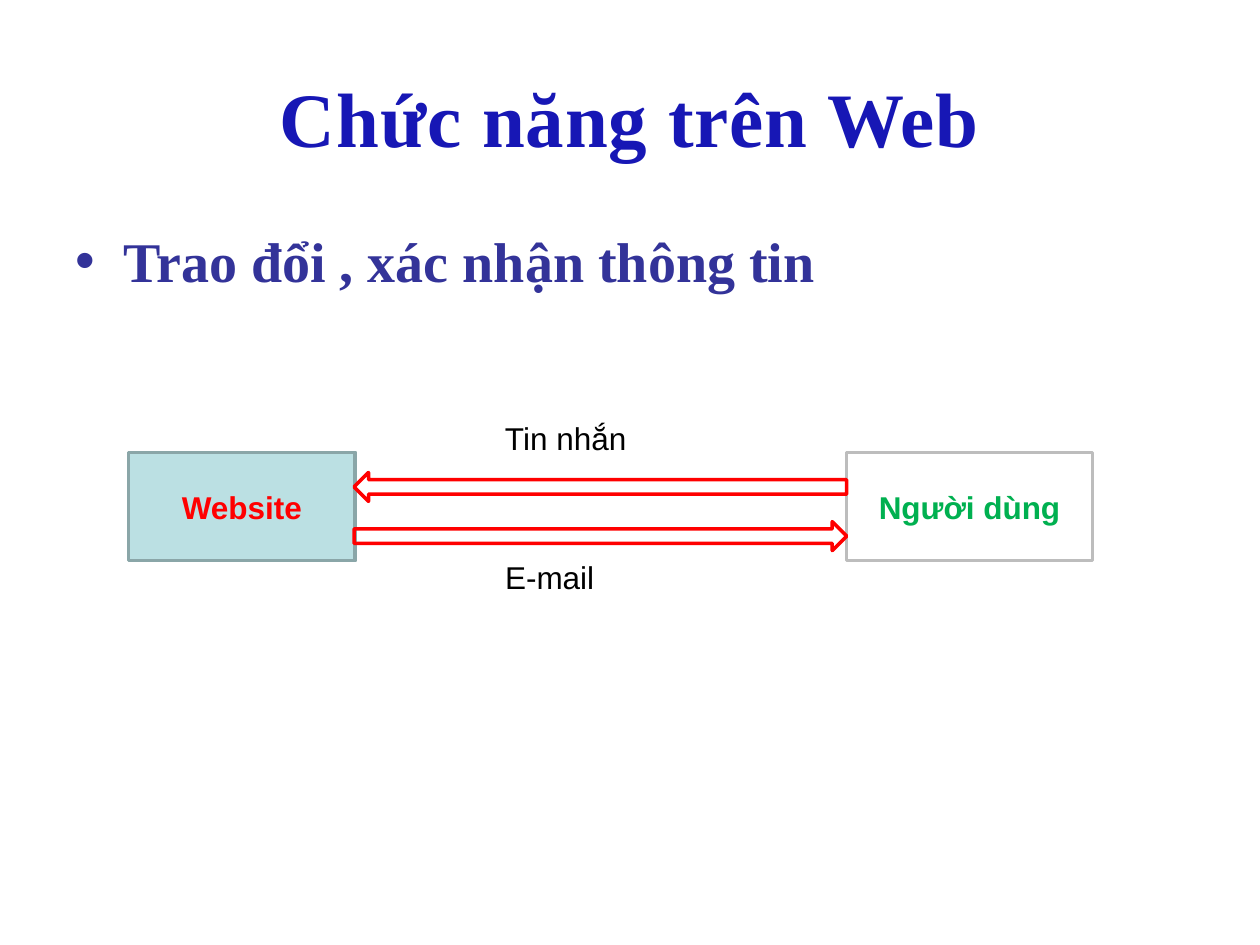
from lxml import etree
from pptx import Presentation
from pptx.dml.color import RGBColor
from pptx.enum.shapes import MSO_SHAPE
from pptx.enum.text import MSO_ANCHOR, MSO_AUTO_SIZE, PP_ALIGN
from pptx.oxml.ns import qn
from pptx.util import Inches, Pt

RECT, LEFT_ARROW, RIGHT_ARROW = MSO_SHAPE.RECTANGLE, MSO_SHAPE.LEFT_ARROW, MSO_SHAPE.RIGHT_ARROW
CENTER, LEFT = PP_ALIGN.CENTER, PP_ALIGN.LEFT
MIDDLE, TOP = MSO_ANCHOR.MIDDLE, MSO_ANCHOR.TOP

# Content
TITLE = "Chức năng trên Web"
TITLE_GRADIENT = [(0.25, "1717B5"), (1, "0D0D84")]
BULLET = "Trao đổi , xác nhận thông tin"
BOXES = [  # text, left, width, fill, line, text colour
    ("Website", 1.02, 1.8, "BBE0E3", "8AA6A8", "FF0000"),
    ("Người dùng", 6.72, 1.95, "FFFFFF", "BDBDBD", "00B050"),
]
ARROWS = [(LEFT_ARROW, 3.75), (RIGHT_ARROW, 4.14)]  # shape, top
LABELS = [("E-mail", 4.38, 2.11), ("Tin nhắn", 3.28, 1.64)]  # text, top, width
BOX_TOP, BOX_HEIGHT = 3.59, 0.86
ARROW_LEFT, ARROW_WIDTH, ARROW_HEIGHT = 2.81, 3.91, 0.23


def rgb(code):
    return RGBColor.from_string(code)


def write(sp, text, size, color, font="Arial", bold=False, align=LEFT, anchor=TOP):
    tf = sp.text_frame
    tf.word_wrap = True
    tf.vertical_anchor = anchor
    p = tf.paragraphs[0]
    p.alignment = align
    r = p.add_run()
    r.text = text
    r.font.name, r.font.size, r.font.bold = font, Pt(size), bold
    r.font.color.rgb = rgb(color)
    return p, r


def add_outlined(kind, left, top, width, height, line):
    sp = s.shapes.add_shape(kind, *map(Inches, (left, top, width, height)))
    sp.shadow.inherit = False
    sp.fill.background()
    sp.line.color.rgb = rgb(line)
    sp.line.width = Pt(2)
    return sp


def add_text_box(left, top, width, height):
    return s.shapes.add_textbox(*map(Inches, (left, top, width, height)))


prs = Presentation()
prs.slide_width, prs.slide_height = Inches(10), Inches(7.5)
s = prs.slides.add_slide(prs.slide_layouts[5])

# Title with gradient letters
title = s.shapes.title
title.left, title.top, title.width, title.height = map(Inches, (0.5, 0.3, 9, 1.25))
p, r = write(title, TITLE, 44, "1717B5", "Times New Roman", True, CENTER, MIDDLE)
title.text_frame.auto_size = MSO_AUTO_SIZE.NONE
r.font.fill.gradient()
r.font.fill.gradient_angle = 270
for stop, (position, color) in zip(r.font.fill.gradient_stops, TITLE_GRADIENT):
    stop.position = position
    stop.color.rgb = rgb(color)
r._r.get_or_add_rPr().set("spc", "50")

# Bullet with hanging indent
body = add_text_box(0.5, 1.75, 9, 4.95)
p, r = write(body, BULLET, 32, "333399", "Times New Roman", True)
p.space_before = Pt(6.4)
pPr = p._p.get_or_add_pPr()
pPr.set("marL", str(Inches(0.38)))
pPr.set("indent", str(-Inches(0.38)))
etree.SubElement(pPr, qn("a:buFont")).set("typeface", "Arial")
etree.SubElement(pPr, qn("a:buChar")).set("char", "•")

# Two parties
for text, left, width, fill, line, color in BOXES:
    box = add_outlined(RECT, left, BOX_TOP, width, BOX_HEIGHT, line)
    box.fill.solid()
    box.fill.fore_color.rgb = rgb(fill)
    write(box, text, 18, color, bold=True, align=CENTER, anchor=MIDDLE)

# Exchange between them
for kind, top in ARROWS:
    add_outlined(kind, ARROW_LEFT, top, ARROW_WIDTH, ARROW_HEIGHT, "FF0000")
for text, top, width in LABELS:
    label = add_text_box(3.91, top, width, 0.4)
    write(label, text, 18, "000000")
    label.text_frame.auto_size = MSO_AUTO_SIZE.SHAPE_TO_FIT_TEXT

prs.save("out.pptx")
